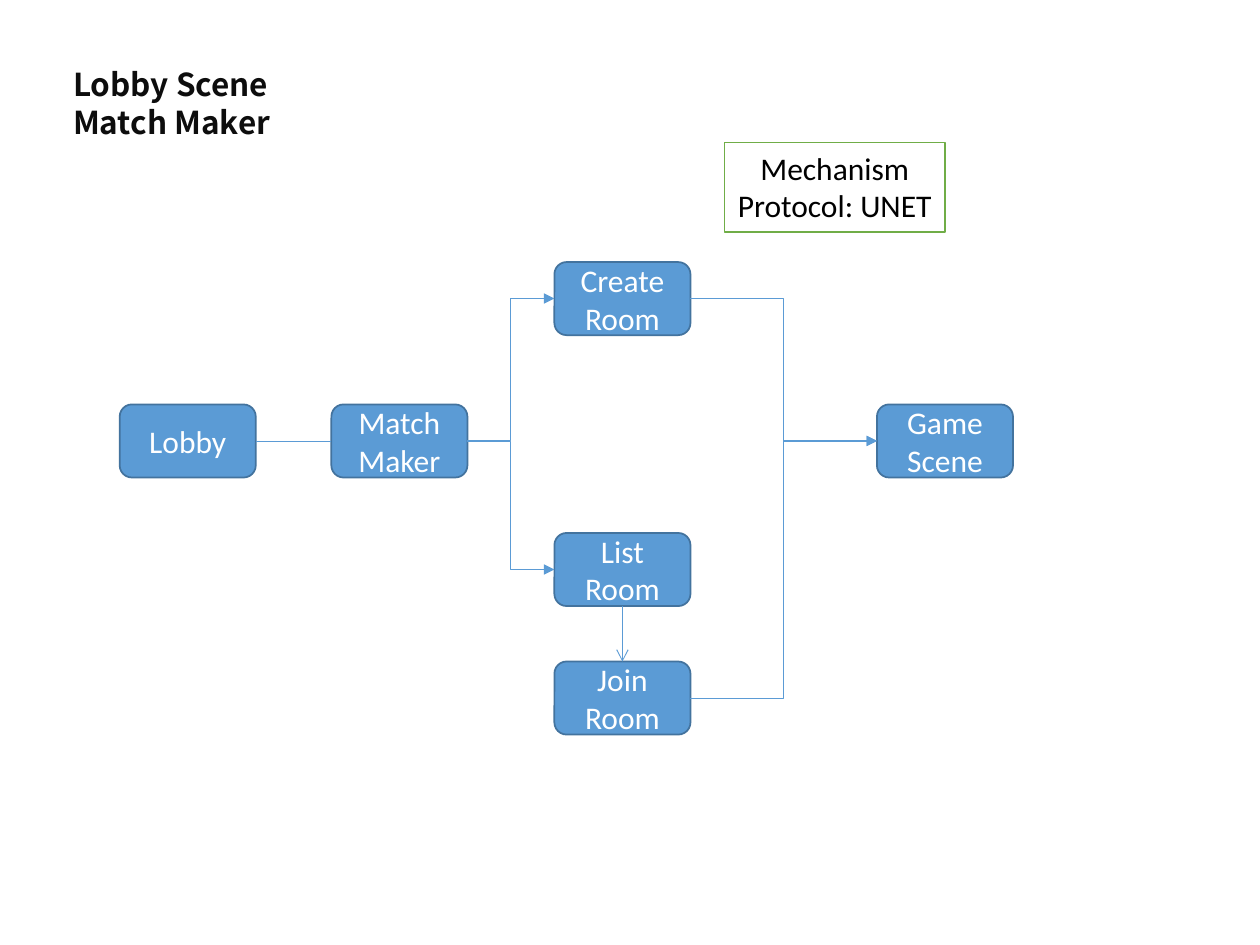
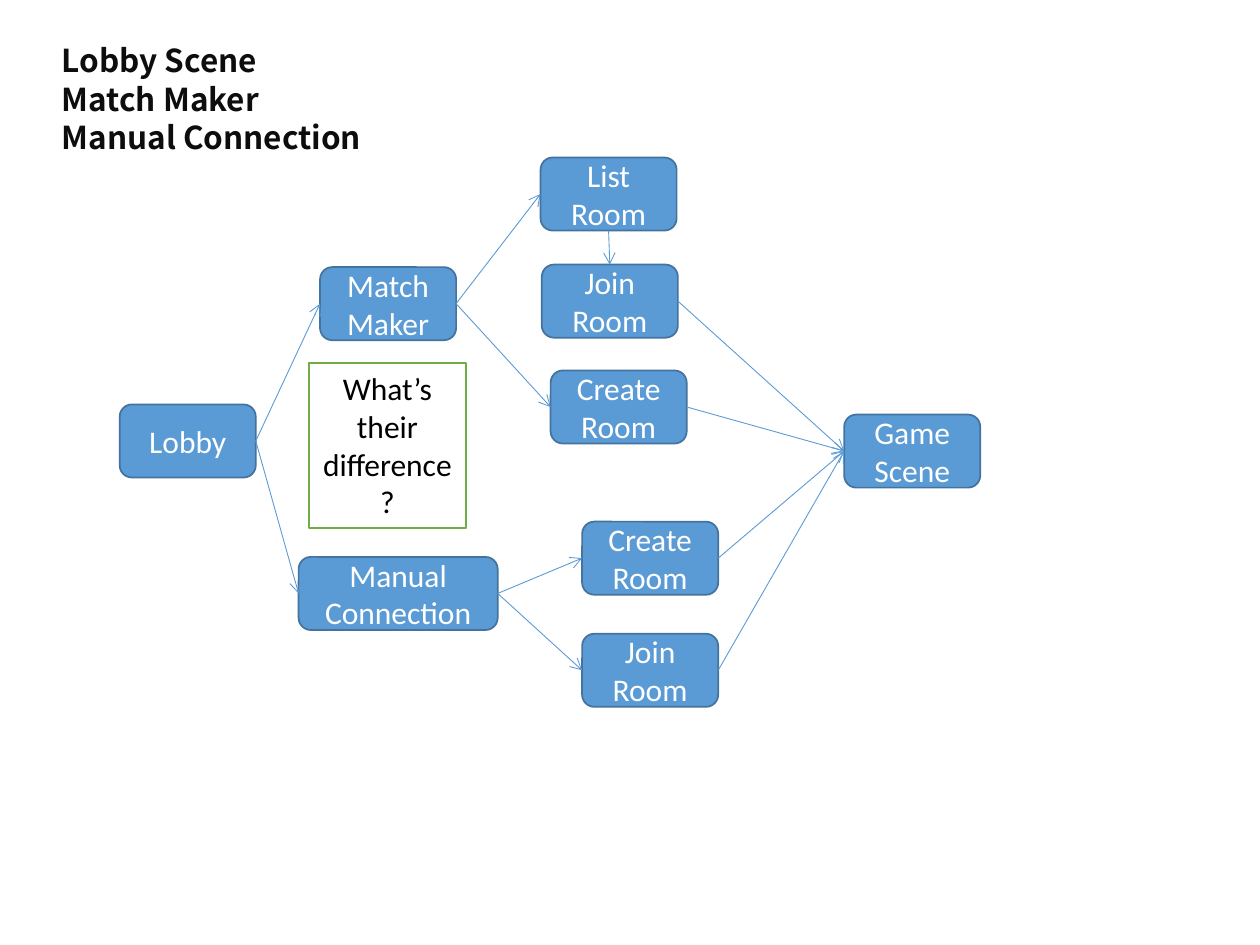
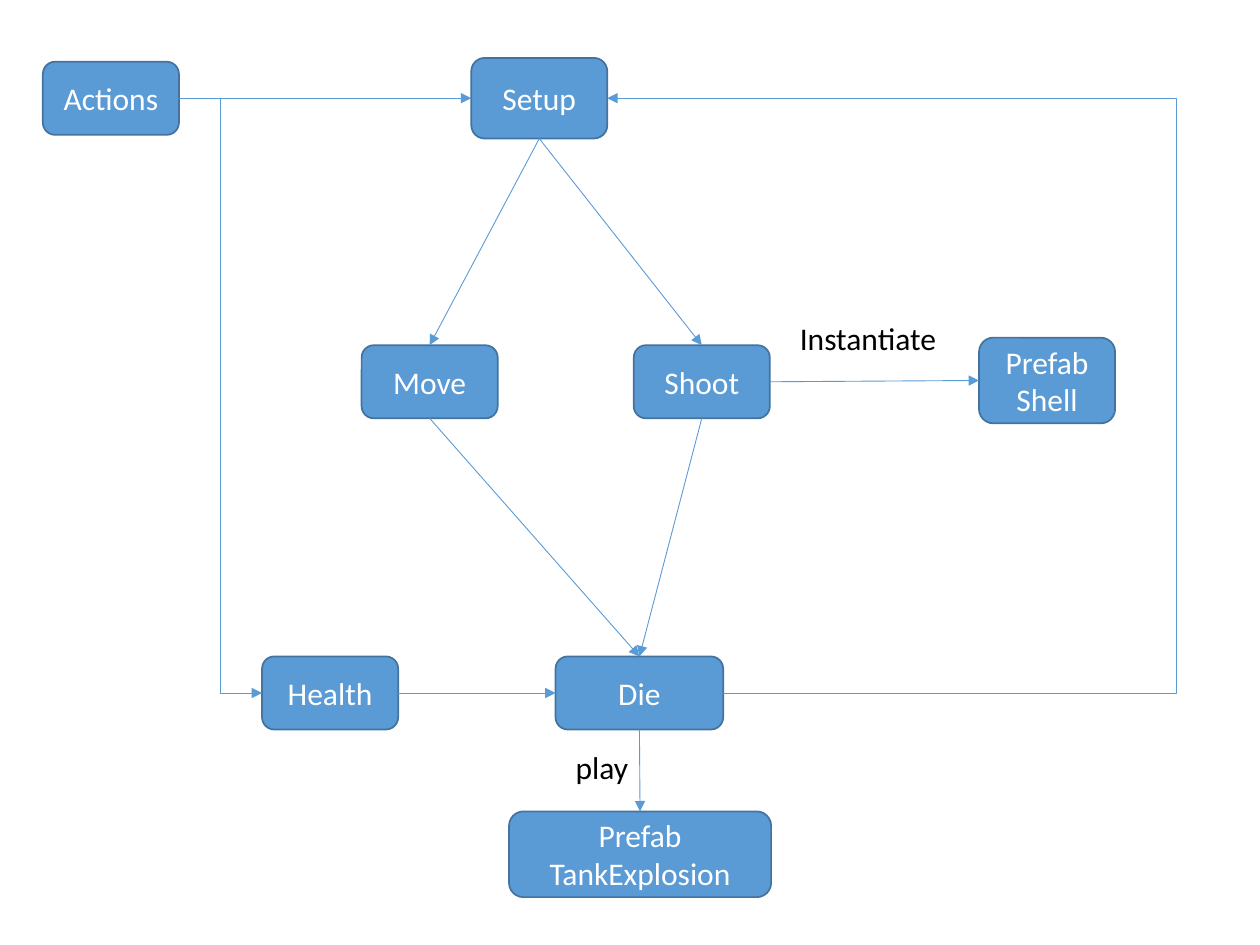
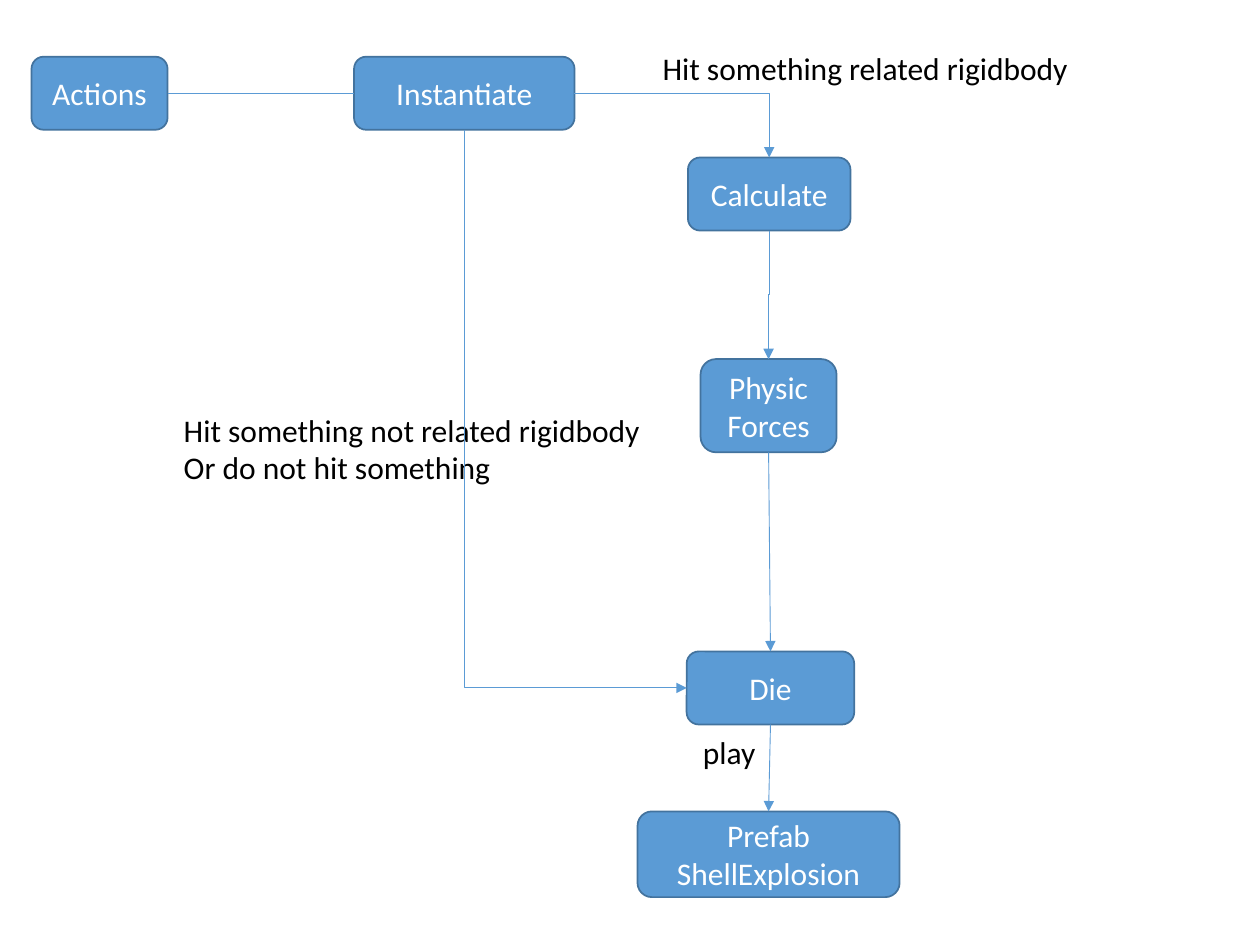
from pptx import Presentation
from pptx.dml.color import RGBColor
from pptx.enum.shapes import MSO_CONNECTOR, MSO_SHAPE
from pptx.enum.text import MSO_ANCHOR, MSO_AUTO_SIZE, PP_ALIGN
from pptx.oxml.ns import qn
from pptx.util import Inches, Pt
from lxml import etree

ROUNDED, RECT = MSO_SHAPE.ROUNDED_RECTANGLE, MSO_SHAPE.RECTANGLE
STRAIGHT, ELBOW = MSO_CONNECTOR.STRAIGHT, MSO_CONNECTOR.ELBOW
TOP_ANCHOR, MIDDLE_ANCHOR = MSO_ANCHOR.TOP, MSO_ANCHOR.MIDDLE
GROW, FIXED = MSO_AUTO_SIZE.SHAPE_TO_FIT_TEXT, MSO_AUTO_SIZE.NONE
LEFT_ALIGN, CENTER = PP_ALIGN.LEFT, PP_ALIGN.CENTER

BLUE, NAVY, GREEN = "5B9BD5", "43739E", "70AD47"
WHITE, BLACK, INK = "FFFFFF", "000000", "0D0D0D"
BODY_FONT, TITLE_FONT = "Calibri", "Noto Sans CJK SC"
TITLE_ONLY, BLANK = 5, 6
W, H = 1.08, 0.58                 # usual box size
TOP, LEFT, BOTTOM, RIGHT = range(4)   # connection sites

# Titles and notes: text, left, top, width, height
# Boxes: name -> text, left, top[, width, height]
# Links: from, side, to, side, arrowhead[, route[, bend]]
# Labels: text, left, top, width, height
SLIDES = [
    {
        "title": ("Lobby Scene\nMatch Maker", 0.48, 0.46, 5, 0.71),
        "note": ("Mechanism\vProtocol: UNET", 5.75, 1.13, 1.75, 0.71),
        "boxes": {
            "match": ("Match Maker", 2.63, 3.21),
            "list": ("List Room", 4.4, 4.23),
            "join": ("Join\nRoom", 4.4, 5.25),
            "create": ("Create Room", 4.4, 2.08),
            "lobby": ("Lobby", 0.95, 3.21),
            "game": ("Game Scene", 6.96, 3.21),
        },
        "links": [
            ("list", BOTTOM, "join", TOP, "arrow"),
            ("lobby", RIGHT, "match", LEFT, None),
            ("match", RIGHT, "create", LEFT, "triangle", "bentConnector3"),
            ("match", RIGHT, "list", LEFT, "triangle", "bentConnector3"),
            ("create", RIGHT, "game", LEFT, "triangle", "bentConnector3"),
            ("join", RIGHT, "game", LEFT, "triangle", "bentConnector3"),
        ],
    },
    {
        "title": ("Lobby Scene\nMatch Maker\nManual Connection", 0.39, 0.27, 3.23, 1.31),
        "note": ("What’s their difference?", 2.45, 2.88, 1.25, 1.31),
        "boxes": {
            "lobby": ("Lobby", 0.95, 3.21),
            "match": ("Match Maker", 2.54, 2.12),
            "manual": ("Manual\nConnection", 2.37, 4.42, 1.58, H),
            "create": ("Create Room", 4.37, 2.94),
            "list": ("List Room", 4.29, 1.25),
            "join": ("Join\nRoom", 4.3, 2.1),
            "game": ("Game Scene", 6.7, 3.29),
            "manual join": ("Join\nRoom", 4.62, 5.03),
            "manual create": ("Create\nRoom", 4.62, 4.14),
        },
        "links": [
            ("lobby", RIGHT, "match", LEFT, "arrow"),
            ("lobby", RIGHT, "manual", LEFT, "arrow"),
            ("match", RIGHT, "list", LEFT, "arrow"),
            ("list", BOTTOM, "join", TOP, "arrow"),
            ("create", RIGHT, "game", LEFT, "arrow"),
            ("join", RIGHT, "game", LEFT, "arrow"),
            ("match", RIGHT, "create", LEFT, "arrow"),
            ("manual join", RIGHT, "game", LEFT, "arrow"),
            ("manual create", RIGHT, "game", LEFT, "arrow"),
            ("manual", RIGHT, "manual join", LEFT, "arrow"),
            ("manual", RIGHT, "manual create", LEFT, "arrow"),
        ],
    },
    {
        "boxes": {
            "move": ("Move", 2.87, 2.74),
            "shoot": ("Shoot", 5.03, 2.74),
            "health": ("Health", 2.08, 5.21),
            "setup": ("Setup", 3.74, 0.46, W, 0.64),
            "die": ("Die", 4.41, 5.21, 1.33, H),
            "explosion": ("Prefab TankExplosion", 4.04, 6.44, 2.08, 0.68),
            "shell": ("Prefab Shell", 7.77, 2.68, W, 0.68),
            "actions": ("Actions", 0.34, 0.49),
        },
        "links": [
            ("health", RIGHT, "die", LEFT, "triangle"),
            ("setup", BOTTOM, "move", TOP, "triangle"),
            ("move", BOTTOM, "die", TOP, "triangle"),
            ("setup", BOTTOM, "shoot", TOP, "triangle"),
            ("shoot", BOTTOM, "die", TOP, "triangle"),
            ("die", RIGHT, "setup", RIGHT, "triangle", "bentConnector3", -3.91),
            ("actions", RIGHT, "setup", LEFT, "triangle", "bentConnector3"),
            ("shoot", RIGHT, "shell", LEFT, "triangle"),
            ("die", BOTTOM, "explosion", TOP, "triangle"),
            ("actions", RIGHT, "health", LEFT, "triangle", "bentConnector3"),
        ],
        "labels": [
            ("Instantiate", 5.25, 2.48, 2.3, 0.4),
            ("play", 3.47, 5.89, 1.63, 0.4),
        ],
    },
    {
        "boxes": {
            "calculate": ("Calculate", 5.46, 1.25, 1.29, H),
            "instantiate": ("Instantiate", 2.81, 0.45, 1.75, H),
            "die": ("Die", 5.45, 5.17, 1.33, H),
            "explosion": ("Prefab ShellExplosion", 5.06, 6.44, 2.08, 0.68),
            "forces": ("Physic\nForces", 5.56, 2.85, W, 0.74),
            "actions": ("Actions", 0.25, 0.45),
        },
        "links": [
            ("die", BOTTOM, "explosion", TOP, "triangle"),
            ("instantiate", RIGHT, "calculate", TOP, "triangle", "bentConnector2"),
            ("instantiate", BOTTOM, "die", LEFT, "triangle", "bentConnector2"),
            ("calculate", BOTTOM, "forces", TOP, "triangle", "bentConnector3"),
            ("actions", RIGHT, "instantiate", LEFT, None),
            ("forces", BOTTOM, "die", TOP, "triangle"),
        ],
        "labels": [
            ("play", 4.48, 5.77, 1.63, 0.4),
            ("Hit something not related rigidbody\nOr do not hit something",
             0.36, 3.21, 4.88, 0.71),
            ("Hit something related rigidbody", 4.16, 0.34, 4.48, 0.4),
        ],
    },
]


def write(sp, text, color, align, anchor, font=BODY_FONT, fill=None, line=None):
    """Set the text of a shape and format it; paint the shape if asked."""
    tf = sp.text_frame
    tf.text = text
    tf.vertical_anchor = anchor
    for p in tf.paragraphs:
        p.alignment = align
        for r in p.runs:
            r.font.name = font
            r.font.size = Pt(18)
            r.font.color.rgb = RGBColor.from_string(color)
    if fill:
        sp.shadow.inherit = False
        sp.fill.solid()
        sp.fill.fore_color.rgb = RGBColor.from_string(fill)
        sp.line.color.rgb = RGBColor.from_string(line)
        sp.line.width = Pt(1)
    return tf


def connect(s, a, a_side, b, b_side, head, route=None, bend=0.5):
    """Link two boxes; an elbow that leaves downwards is a turned one."""
    (x1, y1), (x2, y2) = [
        (sp.left + sp.width * (1, 0, 1, 2)[side] // 2,
         sp.top + sp.height * (0, 1, 2, 1)[side] // 2)
        for sp, side in ((a, a_side), (b, b_side))]
    turned = route and a_side == BOTTOM
    if turned:
        cx, cy, dx, dy = (x1 + x2) // 2, (y1 + y2) // 2, x2 - x1, y2 - y1
        x1, y1, x2, y2 = cx + dy // 2, cy - dx // 2, cx - dy // 2, cy + dx // 2
    c = s.shapes.add_connector(ELBOW if route else STRAIGHT, x1, y1, x2, y2)
    c.line.color.rgb = RGBColor.from_string(BLUE)
    c.line.width = Pt(0.5)
    props = c._element.spPr
    if head:
        etree.SubElement(props.find(qn("a:ln")), qn("a:tailEnd"), type=head)
    etree.SubElement(props, qn("a:effectLst"))
    if not route:
        c.begin_connect(a, a_side)
        c.end_connect(b, b_side)
        return
    geom = props.find(qn("a:prstGeom"))
    geom.set("prst", route)
    if turned:
        props.find(qn("a:xfrm")).set("rot", str(270 * 60000))
    if bend != 0.5:
        etree.SubElement(geom.find(qn("a:avLst")), qn("a:gd"),
                         name="adj1", fmla=f"val {round(bend * 100000)}")


prs = Presentation()
prs.slide_width, prs.slide_height = Inches(10), Inches(7.5)

for content in SLIDES:
    layout = TITLE_ONLY if "title" in content else BLANK
    s = prs.slides.add_slide(prs.slide_layouts[layout])

    # Title
    if "title" in content:
        text, *place = content["title"]
        sp = s.shapes.title
        sp.left, sp.top, sp.width, sp.height = map(Inches, place)
        tf = write(sp, text, INK, LEFT_ALIGN, TOP_ANCHOR, TITLE_FONT)
        tf.auto_size = FIXED
        for p in tf.paragraphs:
            p.line_spacing = Pt(22)
            p.runs[0].font.bold = True

    # Boxes
    boxes = {}
    for name, (text, left, top, *size) in content["boxes"].items():
        sp = s.shapes.add_shape(ROUNDED, *map(Inches, (left, top, *(size or (W, H)))))
        write(sp, text, WHITE, CENTER, MIDDLE_ANCHOR, fill=BLUE, line=NAVY)
        boxes[name] = sp

    # Labels beside the arrows
    for text, *place in content.get("labels", []):
        sp = s.shapes.add_textbox(*map(Inches, place))
        tf = write(sp, text, BLACK, LEFT_ALIGN, TOP_ANCHOR)
        tf.word_wrap = False
        tf.auto_size = GROW
        for p in tf.paragraphs:
            p.level = 2

    # Connectors
    for start, start_side, end, end_side, *style in content["links"]:
        connect(s, boxes[start], start_side, boxes[end], end_side, *style)

    # Green note
    if "note" in content:
        text, *place = content["note"]
        sp = s.shapes.add_shape(RECT, *map(Inches, place))
        tf = write(sp, text, BLACK, CENTER, TOP_ANCHOR, fill=WHITE, line=GREEN)
        tf.auto_size = GROW

prs.save("out.pptx")
